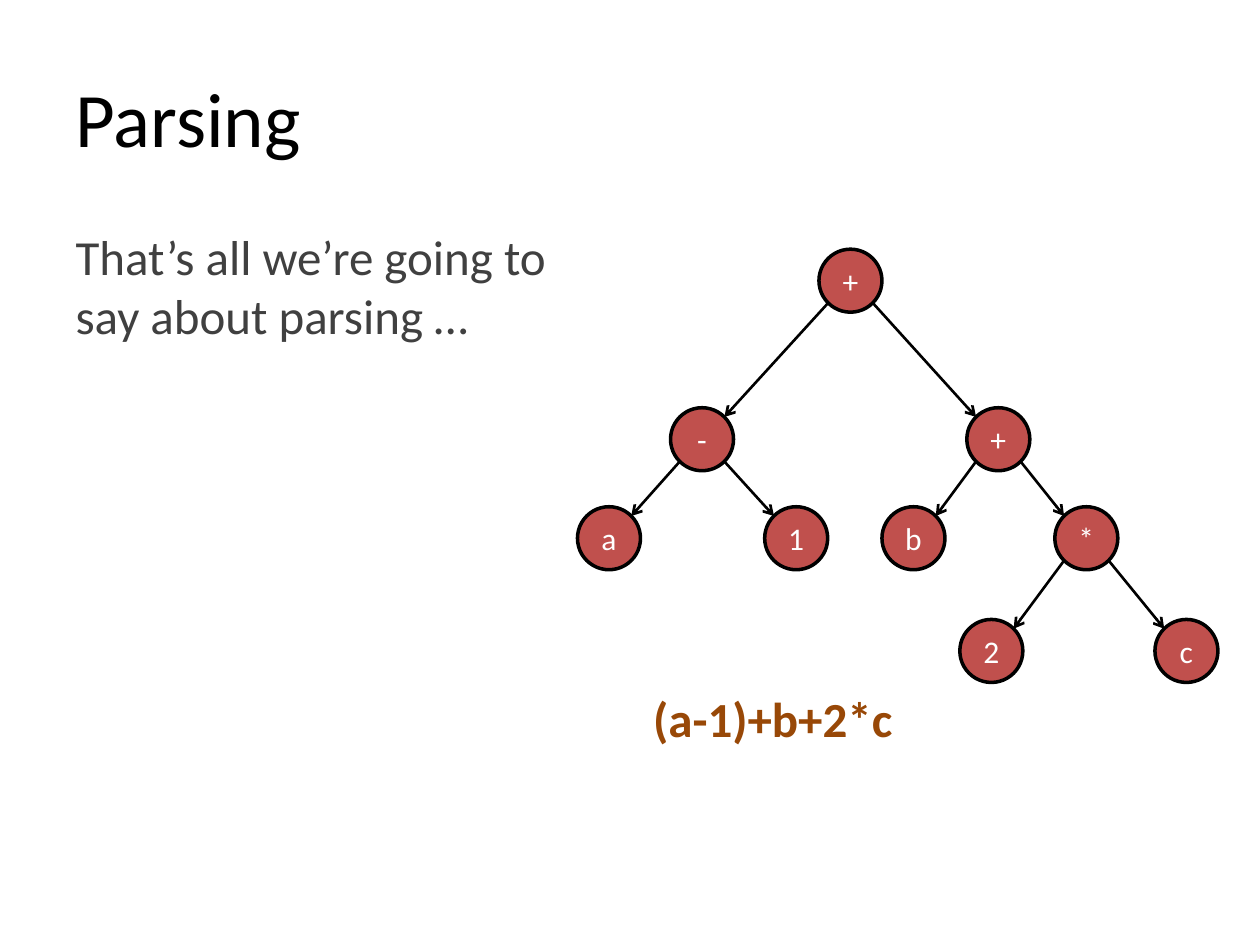
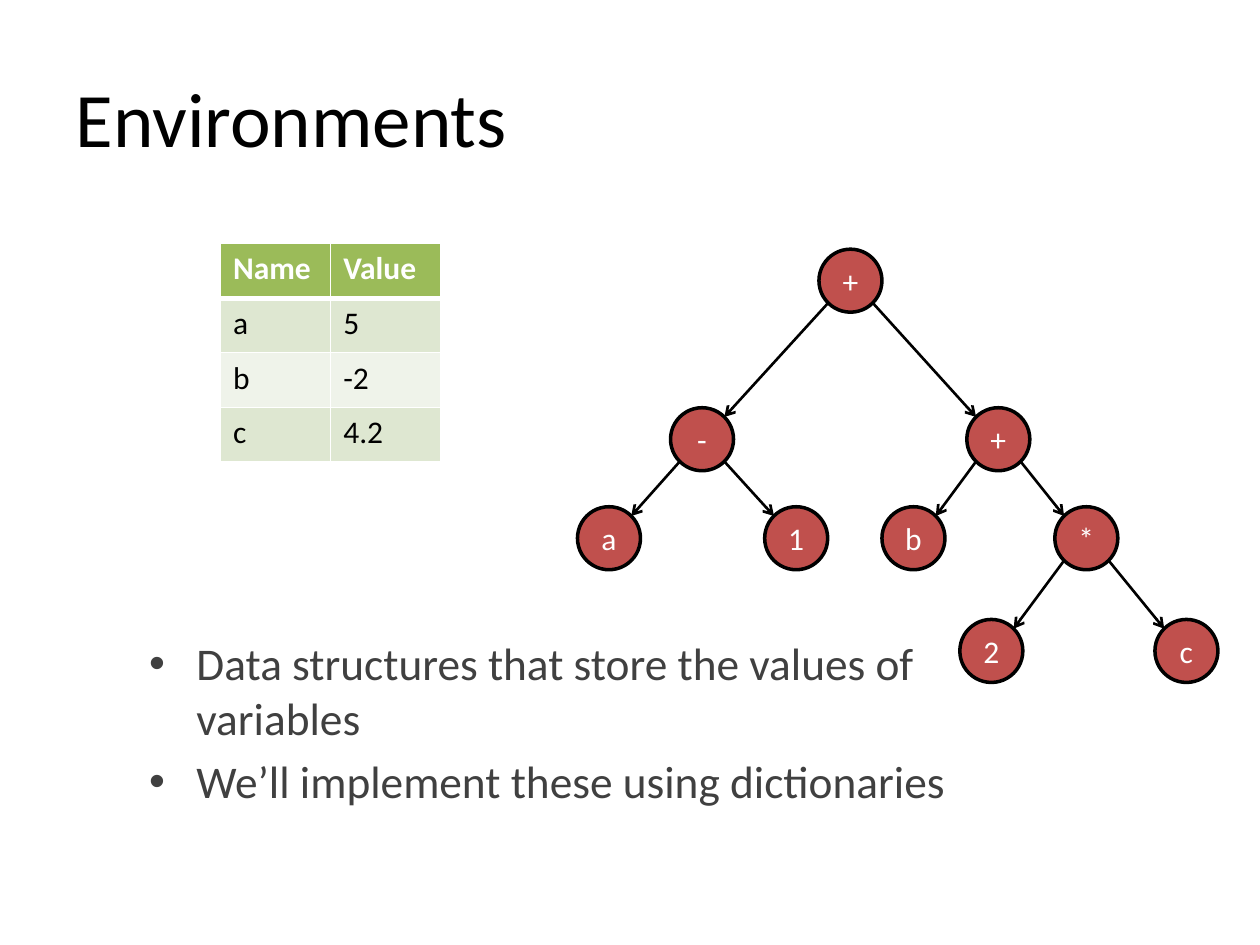
from dataclasses import dataclass
from math import sqrt

from lxml import etree
from pptx import Presentation
from pptx.dml.color import RGBColor
from pptx.enum import shapes, text
from pptx.oxml import ns
from pptx.util import Pt


@dataclass(frozen=True)
class Theme:
    font: str = "Calibri"
    black: str = "000000"
    white: str = "FFFFFF"
    body: str = "404040"
    accent: str = "984807"
    node: str = "C0504D"
    header: str = "9BBB59"
    bands: tuple = ("DEE7D1", "EFF3EA")
    title_size: float = 44
    body_size: float = 28
    list_size: float = 25.9
    small_size: float = 18


THEME = Theme()

# Content: boxes are (left, top, width, height) in points
TITLE_BOX = (36, 21.6, 648, 90)
PARSING = {
    "title": "Parsing",
    "note": "That’s all we’re going to say about parsing …",
    "note_box": (36, 126, 318, 356.4),
    "expression": "(a-1)+b+2*c",
    "expression_box": (366, 390, 300, 48),
}
ENVIRONMENTS = {
    "title": "Environments",
    "points": ["Data structures that store the values of variables",
               "We’ll implement these using dictionaries"],
    "points_box": (78, 359.4, 479.4, 123),
    "variables": [("Name", "Value"), ("a", "5"), ("b", "-2"), ("c", "4.2")],
}
TABLE_LEFT, TABLE_TOP, COLUMN_WIDTH, ROW_HEIGHT = 126, 139.2, 63, 31.2
LIST_INDENT = 27

# Syntax tree: (symbol, centre x, children), one centre y for each level
TREE = ("+", 486, [
    ("-", 401.2, [("a", 348, []), ("1", 455, [])]),
    ("+", 570.5, [
        ("b", 522, []),
        ("*", 620.8, [("2", 566.5, []), ("c", 678, [])]),
    ]),
])
LEVELS = [160.4, 251, 307.6, 372]
NODE_SIZE = 36
RIM = NODE_SIZE / 2 / sqrt(2)  # offset of a diagonal point on the circle


def colour(code):
    return RGBColor.from_string(code)


def apply(target, values):
    for name, value in values.items():
        setattr(target, name, value)


def place(shape, box):
    apply(shape, dict(zip(("left", "top", "width", "height"), map(Pt, box))))


def write(frame, lines, size, ink, bold=False, align=text.PP_ALIGN.LEFT):
    """Fill a text frame with one formatted paragraph for each line."""
    for index, line in enumerate(lines):
        para = frame.add_paragraph() if index else frame.paragraphs[0]
        para.alignment = align
        span = para.add_run()
        span.text = line
        apply(span.font, {"name": THEME.font, "size": Pt(size), "bold": bold})
        span.font.color.rgb = colour(ink)


def fill_placeholder(holder, box, lines, size, ink, bold=False, bullet=None):
    place(holder, box)
    frame = holder.text_frame
    apply(frame, {"word_wrap": True, "auto_size": text.MSO_AUTO_SIZE.NONE})
    write(frame, lines, size, ink, bold)
    for para in frame.paragraphs:
        props = para._p.get_or_add_pPr()
        indent = Pt(LIST_INDENT) if bullet else 0
        props.set("marL", str(indent))
        props.set("indent", str(-indent))
        if bullet:
            etree.SubElement(props, ns.qn("a:buChar"), char=bullet)
        else:
            etree.SubElement(props, ns.qn("a:buNone"))


def add_page(deck, layout, title):
    page = deck.slides.add_slide(deck.slide_layouts.get_by_name(layout))
    fill_placeholder(page.shapes.title, TITLE_BOX, [title],
                     THEME.title_size, THEME.black)
    page.shapes.title.text_frame.vertical_anchor = text.MSO_ANCHOR.MIDDLE
    return page


# Syntax tree
def add_arrow(page, start, end):
    arrow = page.shapes.add_connector(
        shapes.MSO_CONNECTOR.STRAIGHT, *map(Pt, (*start, *end)))
    arrow.line.width = Pt(1.5)
    arrow.line.color.rgb = colour(THEME.black)
    etree.SubElement(arrow.line._get_or_add_ln(), ns.qn("a:tailEnd"), type="arrow")
    etree.SubElement(arrow._element.spPr, ns.qn("a:effectLst"))


def add_node(page, symbol, x, y):
    node = page.shapes.add_shape(
        shapes.MSO_SHAPE.OVAL, Pt(x - NODE_SIZE / 2), Pt(y - NODE_SIZE / 2),
        Pt(NODE_SIZE), Pt(NODE_SIZE))
    node.shadow.inherit = False
    node.fill.solid()
    node.fill.fore_color.rgb = colour(THEME.node)
    node.line.color.rgb = colour(THEME.black)
    node.line.width = Pt(2)
    node.text_frame.vertical_anchor = text.MSO_ANCHOR.MIDDLE
    write(node.text_frame, [symbol], THEME.small_size, THEME.white,
          align=text.PP_ALIGN.CENTER)


def add_tree(page, tree, level=0):
    symbol, x, children = tree
    y = LEVELS[level]
    add_node(page, symbol, x, y)
    for child in children:
        child_x, child_y = child[1], LEVELS[level + 1]
        side = RIM if child_x > x else -RIM
        add_arrow(page, (x + side, y + RIM), (child_x - side, child_y - RIM))
        add_tree(page, child, level + 1)


# Table of variables
def add_border(cell, edge, width):
    border = etree.SubElement(cell._tc.get_or_add_tcPr(), ns.qn(f"a:{edge}"),
                              w=str(Pt(width)))
    fill = etree.SubElement(border, ns.qn("a:solidFill"))
    etree.SubElement(fill, ns.qn("a:srgbClr"), val=THEME.white)


def add_variables(page, rows):
    count, columns = len(rows), len(rows[0])
    table = page.shapes.add_table(
        count, columns, Pt(TABLE_LEFT), Pt(TABLE_TOP),
        Pt(columns * COLUMN_WIDTH), Pt(count * ROW_HEIGHT)).table
    for r, row in enumerate(rows):
        header = r == 0
        for c, value in enumerate(row):
            cell = table.cell(r, c)
            for edge in ("lnL", "lnR", "lnT", "lnB"):
                thick = (r, edge) in ((0, "lnB"), (1, "lnT"))
                add_border(cell, edge, 3 if thick else 1)
            cell.fill.solid()
            cell.fill.fore_color.rgb = colour(
                THEME.header if header else THEME.bands[(r - 1) % 2])
            write(cell.text_frame, [value], THEME.small_size,
                  THEME.white if header else THEME.black, bold=header)


# Slides
def add_parsing(deck):
    page = add_page(deck, "Two Content", PARSING["title"])
    note, expression = list(page.placeholders)[1:]
    fill_placeholder(note, PARSING["note_box"], [PARSING["note"]],
                     THEME.body_size, THEME.body)
    fill_placeholder(expression, PARSING["expression_box"],
                     [PARSING["expression"]], THEME.body_size, THEME.accent,
                     bold=True)
    add_tree(page, TREE)


def add_environments(deck):
    page = add_page(deck, "Title and Content", ENVIRONMENTS["title"])
    fill_placeholder(page.placeholders[1], ENVIRONMENTS["points_box"],
                     ENVIRONMENTS["points"], THEME.list_size, THEME.body,
                     bullet="•")
    add_tree(page, TREE)
    add_variables(page, ENVIRONMENTS["variables"])


def main():
    deck = Presentation()
    apply(deck, {"slide_width": Pt(720), "slide_height": Pt(540)})
    add_parsing(deck)
    add_environments(deck)
    deck.save("out.pptx")


if __name__ == "__main__":
    main()
